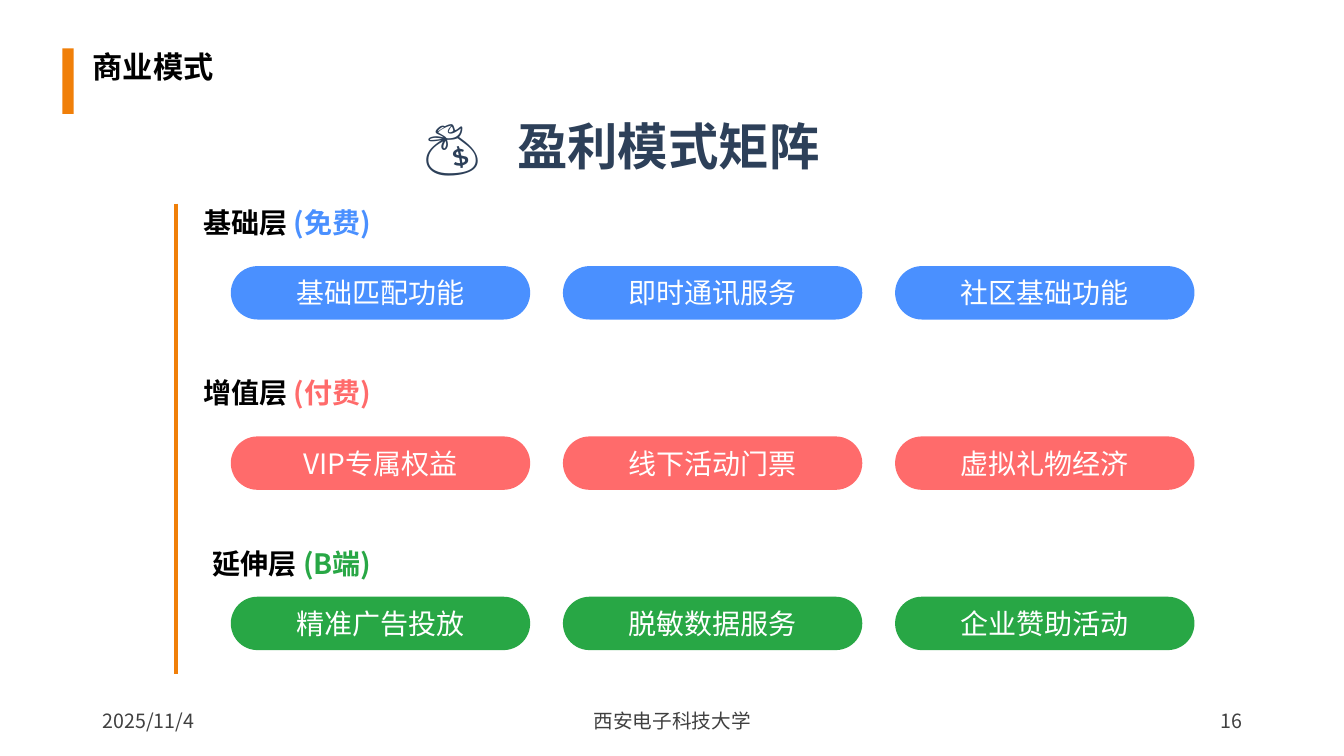
from lxml import etree
from pptx import Presentation, util as u
from pptx.dml.color import RGBColor
from pptx.enum import shapes, text
from pptx.oxml.ns import qn

COLORS = {
    "orange": "F07F09", "navy": "2D4059", "black": "000000", "grey": "404040",
    "white": "FFFFFF", "blue": "4A90FF", "red": "FF6B6B", "green": "28A745",
}
FONT = "Noto Sans CJK SC"
ALIGN = text.PP_ALIGN
COLUMNS, ROWS = 160, 90


class SlideBuilder:
    """Holds the style and slide; lengths are grid columns and rows."""

    def __init__(self, presentation):
        self.column = presentation.slide_width / COLUMNS
        self.row = presentation.slide_height / ROWS
        self.slide = presentation.slides.add_slide(presentation.slide_layouts[5])

    def box(self, left, top, width, height):
        return (round(left * self.column), round(top * self.row),
                round(width * self.column), round(height * self.row))

    def color(self, name):
        return RGBColor.from_string(COLORS[name])

    def set_text(self, shape, runs, size, bold=False, align=ALIGN.LEFT,
                 anchor=text.MSO_ANCHOR.MIDDLE, font=FONT):
        """Fill a shape with one paragraph of (words, color) runs."""
        frame = shape.text_frame
        frame.word_wrap = True
        frame.vertical_anchor = anchor
        paragraph = frame.paragraphs[0]
        paragraph.alignment = align
        paragraph.font.size = u.Pt(size)
        paragraph.font.bold = bold
        paragraph.font.color.rgb = self.color(runs[0][1])
        paragraph.font.name = font
        defaults = paragraph._p.pPr.find(qn("a:defRPr"))
        etree.SubElement(defaults, qn("a:ea"), typeface=font)
        for words, color in runs:
            run = paragraph.add_run()
            run.text = words
            if len(runs) > 1:
                run.font.color.rgb = self.color(color)
        return paragraph

    def title(self, box, words):
        shape = self.slide.shapes.title
        shape.left, shape.top, shape.width, shape.height = self.box(*box)
        shape.text_frame.auto_size = text.MSO_AUTO_SIZE.NONE
        paragraph = self.set_text(shape, [(words, "black")], 21.6, bold=True)
        paragraph.line_spacing = 0.9

    def label(self, box, runs, size, **style):
        shape = self.slide.shapes.add_textbox(*self.box(*box))
        self.set_text(shape, runs, size, **style)

    def block(self, kind, box, color):
        shape = self.slide.shapes.add_shape(kind, *self.box(*box))
        shape.shadow.inherit = False
        shape.fill.solid()
        shape.fill.fore_color.rgb = self.color(color)
        shape.line.fill.background()
        return shape

    def pill(self, box, words, color):
        shape = self.block(shapes.MSO_SHAPE.ROUNDED_RECTANGLE, box, color)
        shape.adjustments[0] = 0.5
        self.set_text(shape, [(words, "white")], 20, align=ALIGN.CENTER)

    def vertical_line(self, left, top, bottom, color, width):
        x, y, _, height = self.box(left, top, 0, bottom - top)
        line = self.slide.shapes.add_connector(
            shapes.MSO_CONNECTOR.STRAIGHT, x, y, x, y + height)
        line.line.color.rgb = self.color(color)
        line.line.width = u.Pt(width)
        etree.SubElement(line._element.spPr, qn("a:effectLst"))


# Each tier: name, audience, color, label left, pill top, pill texts
TIERS = [
    ("基础层", "(免费)", "blue", 23.04, 31.68,
     ["基础匹配功能", "即时通讯服务", "社区基础功能"]),
    ("增值层", "(付费)", "red", 23.04, 51.96,
     ["VIP专属权益", "线下活动门票", "虚拟礼物经济"]),
    ("延伸层", "(B端)", "green", 24.12, 71.04,
     ["精准广告投放", "脱敏数据服务", "企业赞助活动"]),
]
FOOTER = [
    ("2025/11/4", 11.04, 36, ALIGN.LEFT),
    ("西安电子科技大学", 53.04, 54, ALIGN.CENTER),
    ("16", 113.04, 36, ALIGN.RIGHT),
]


def main():
    presentation = Presentation()
    presentation.slide_width = u.Inches(13.33)
    presentation.slide_height = u.Inches(7.5)
    builder = SlideBuilder(presentation)
    top = text.MSO_ANCHOR.TOP

    # Page title and footer
    builder.block(shapes.MSO_SHAPE.RECTANGLE, (7.44, 5.76, 1.32, 7.8), "orange")
    builder.title((9.84, 5.76, 138, 4.8), "商业模式")
    for words, left, width, align in FOOTER:
        builder.label((left, 83.4, width, 4.8), [(words, "grey")], 14, align=align)

    # Heading with its money bag
    builder.label((39.54, 13.08, 80.04, 8.52), [("盈利模式矩阵", "navy")], 36,
                  bold=True, align=ALIGN.CENTER, anchor=top)
    builder.label((49.32, 12.6, 9.12, 9.24), [("💰", "navy")], 40,
                  bold=True, anchor=top, font="Arial")

    # Tiers beside the vertical rule
    builder.vertical_line(21, 24.24, 80.28, "orange", 3)
    for index, (name, audience, color, left, pill_top, features) in enumerate(TIERS):
        builder.label((left, 23.88 + 20.28 * index, 80.04, 5.28),
                      [(name + " ", "black"), (audience, color)], 20,
                      bold=True, anchor=top)
        for position, feature in enumerate(features):
            builder.pill((27.48 + 39.54 * position, pill_top, 35.64, 6.36),
                         feature, color)

    presentation.save("out.pptx")


if __name__ == "__main__":
    main()
